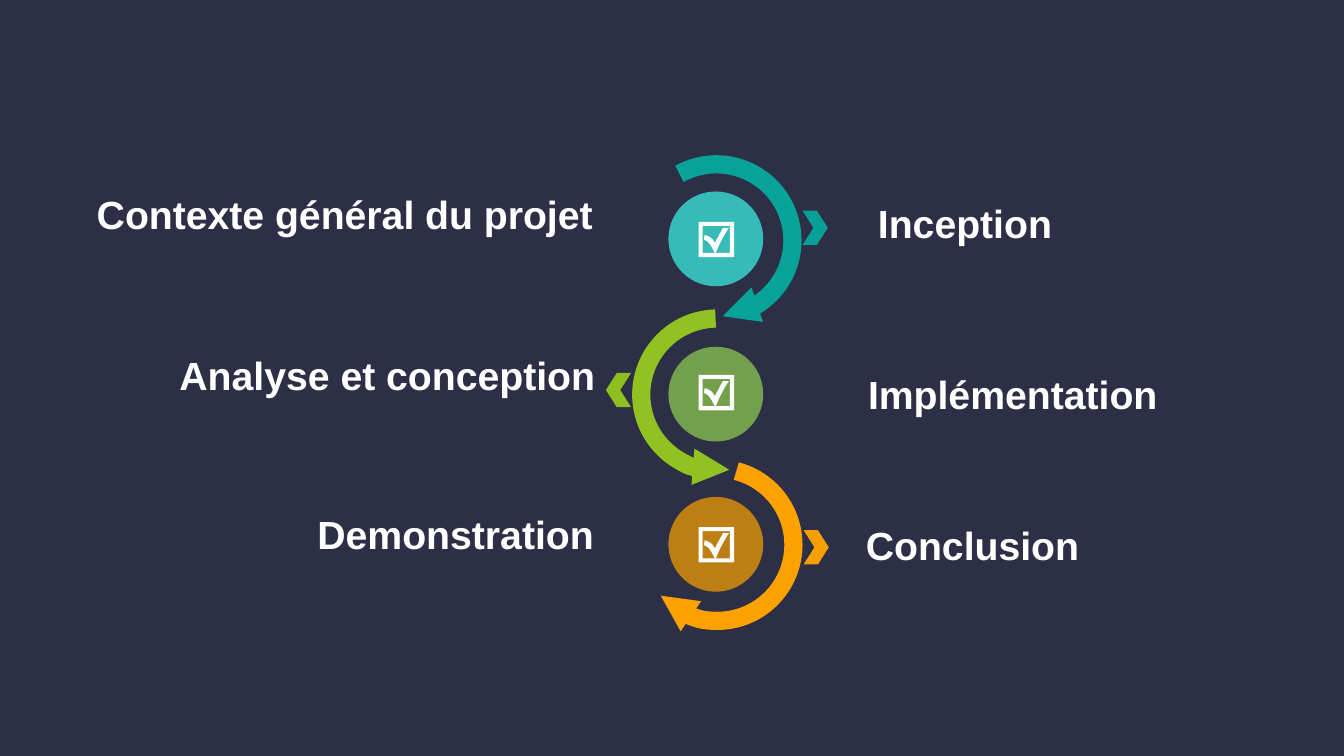
"""Build an agenda slide with three linked steps and six headings."""
from dataclasses import dataclass

from lxml import etree
from pptx import Presentation
from pptx.dml.color import RGBColor
from pptx.dml.fill import FillFormat
from pptx.enum.shapes import MSO_SHAPE
from pptx.enum.text import MSO_ANCHOR, MSO_AUTO_SIZE, PP_ALIGN
from pptx.oxml.ns import qn
from pptx.shapes.autoshape import Shape
from pptx.slide import Slide
from pptx.util import Inches, Pt

ARC, CIRCLE, CHEVRON = MSO_SHAPE.ARC, MSO_SHAPE.OVAL, MSO_SHAPE.CHEVRON
TOP, MIDDLE = MSO_ANCHOR.TOP, MSO_ANCHOR.MIDDLE
LEFT, RIGHT = PP_ALIGN.LEFT, PP_ALIGN.RIGHT
GROW = MSO_AUTO_SIZE.SHAPE_TO_FIT_TEXT

NAVY, WHITE = "2C2F45", "FFFFFF"
ARC_SIZE, CIRCLE_SIZE = 1.51, 0.94
CIRCLE_LEFT, CHECK_LEFT = 6.63, 6.93
HEADING_FONT = {"name": "Arial", "size": Pt(28), "bold": True}
MARGINS = ("margin_left", "margin_top", "margin_right", "margin_bottom")

UNITS_PER_INCH = 1000
CURVE_STEPS = 8
BOX_OUTLINE = [(0, 0), (350, 0), (350, 350), (0, 350)]
TICK_OUTLINE = [
    (40, 40), (40, 310), (160, 310),
    (130, 260, 110, 190, 50, 180), (60, 130),
    (120, 150, 140, 170, 160, 210), (190, 150, 210, 120, 240, 60),
    (300, 60), (250, 130, 200, 230, 170, 310), (310, 310), (310, 40),
]


@dataclass(frozen=True)
class Step:
    arc_at: tuple[float, float]
    arc_angles: tuple[float, float]
    arc_flip: str
    arc_color: str
    circle_top: float
    circle_color: str
    chevron_at: tuple[float, float]
    chevron_flip: str
    check_top: float


@dataclass(frozen=True)
class Heading:
    text: str
    box: tuple[float, float, float, float]
    anchor: MSO_ANCHOR = MIDDLE
    align: PP_ALIGN = LEFT
    has_margins: bool = True


STEPS = [
    Step((6.35, 1.63), (60.96, 265.21), "HV", "07A398", 1.9, "3BF7E9", (7.96, 2.09), "", 2.2),
    Step((6.36, 3.16), (91.32, 279.01), "V", "90C221", 3.44, "92D050", (6.01, 3.7), "H", 3.72),
    Step((6.36, 4.65), (104.44, 317.98), "HV", "FBA200", 4.93, "FBA200", (7.97, 5.26), "", 5.23),
]
HEADINGS = [
    Heading("Contexte général du projet", (0.96, 1.89, 5.23, 0.47), has_margins=False),
    Heading("Analyse et conception", (1.5, 3.44, 4.5, 0.77), TOP, RIGHT),
    Heading("Demonstration", (3.05, 5.01, 3.08, 0.57)),
    Heading("Inception", (8.61, 1.93, 4.5, 0.57)),
    Heading("Implémentation", (8.61, 3.67, 4.07, 0.47), has_margins=False),
    Heading("Conclusion", (8.49, 5.12, 4.5, 0.57)),
]


def paint(fill: FillFormat, color: str) -> None:
    """Make a fill solid in a hex colour."""
    fill.solid()
    fill.fore_color.rgb = RGBColor.from_string(color)


def set_opacity(shape: Shape, percent: int) -> None:
    """Set the opacity of a solid shape fill."""
    color = shape.element.spPr.find(qn("a:solidFill"))[0]
    etree.SubElement(color, qn("a:alpha"), val=str(percent * 1000))


def add_preset(slide: Slide, preset: MSO_SHAPE, at: tuple[float, float],
               size: tuple[float, float], flip: str = "") -> Shape:
    """Add a preset shape without shadow, flipped along the given axes."""
    shape = slide.shapes.add_shape(preset, *map(Inches, at + size))
    shape.shadow.inherit = False
    for axis in flip:
        shape.element.spPr.xfrm.set(f"flip{axis}", "1")
    return shape


def add_arc(slide: Slide, step: Step) -> None:
    """Add the curved arrow around a step."""
    arc = add_preset(slide, ARC, step.arc_at, (ARC_SIZE, ARC_SIZE), step.arc_flip)
    for index, degrees in enumerate(step.arc_angles):
        arc.adjustments[index] = degrees * 0.6
    arc.fill.background()
    paint(arc.line.fill, step.arc_color)
    arc.line.width = Pt(13)
    line = arc.element.spPr.find(qn("a:ln"))
    etree.SubElement(line, qn("a:tailEnd"), type="triangle", w="sm", len="sm")


def add_solid(slide: Slide, preset: MSO_SHAPE, at: tuple[float, float],
              size: tuple[float, float], color: str, opacity: int, flip: str = "") -> Shape:
    """Add a borderless, slightly transparent shape."""
    shape = add_preset(slide, preset, at, size, flip)
    paint(shape.fill, color)
    set_opacity(shape, opacity)
    shape.line.fill.background()
    return shape


def flatten(outline: list[tuple[int, ...]]) -> list[tuple[float, float]]:
    """Turn an outline of points and cubic curves into points."""
    points: list[tuple[float, float]] = []
    for part in outline:
        if len(part) == 2:
            points.append(part)
            continue
        corners = [points[-1], part[:2], part[2:4], part[4:]]
        for number in range(1, CURVE_STEPS + 1):
            t = number / CURVE_STEPS
            weights = ((1 - t) ** 3, 3 * t * (1 - t) ** 2, 3 * t * t * (1 - t), t ** 3)
            points.append(tuple(sum(w * c[axis] for w, c in zip(weights, corners))
                                for axis in (0, 1)))
    return points


def add_check(slide: Slide, top: float) -> None:
    """Add a ticked box."""
    tick = flatten(TICK_OUTLINE)
    builder = slide.shapes.build_freeform(*tick[0], scale=Inches(1) / UNITS_PER_INCH)
    builder.add_line_segments(tick[1:], close=True)
    builder.move_to(*BOX_OUTLINE[0])
    builder.add_line_segments(BOX_OUTLINE[1:], close=True)
    check = builder.convert_to_shape(Inches(CHECK_LEFT), Inches(top))
    check.shadow.inherit = False
    paint(check.fill, WHITE)
    check.line.fill.background()


def add_step(slide: Slide, step: Step) -> None:
    """Add the arrow, circle, chevron and ticked box of a step."""
    add_arc(slide, step)
    add_solid(slide, CIRCLE, (CIRCLE_LEFT, step.circle_top), (CIRCLE_SIZE, CIRCLE_SIZE),
              step.circle_color, 70)
    chevron = add_solid(slide, CHEVRON, step.chevron_at, (0.25, 0.34),
                        step.arc_color, 98, step.chevron_flip)
    chevron.adjustments[0] = 0.43
    add_check(slide, step.check_top)


def add_heading(slide: Slide, heading: Heading) -> None:
    """Add a bold white heading."""
    frame = slide.shapes.add_textbox(*map(Inches, heading.box)).text_frame
    layout = {"word_wrap": True, "auto_size": GROW, "vertical_anchor": heading.anchor}
    if not heading.has_margins:
        layout.update(dict.fromkeys(MARGINS, 0))
    for key, value in layout.items():
        setattr(frame, key, value)
    paragraph = frame.paragraphs[0]
    paragraph.alignment = heading.align
    run = paragraph.add_run()
    run.text = heading.text
    for key, value in HEADING_FONT.items():
        setattr(run.font, key, value)
    paint(run.font.fill, WHITE)


def main() -> None:
    """Build and save the slide."""
    deck = Presentation()
    deck.slide_width, deck.slide_height = Inches(13.33), Inches(7.5)
    slide = deck.slides.add_slide(deck.slide_layouts[6])
    paint(slide.background.fill, NAVY)
    for step in STEPS:
        add_step(slide, step)
    for heading in HEADINGS:
        add_heading(slide, heading)
    deck.save("out.pptx")


if __name__ == "__main__":
    main()
